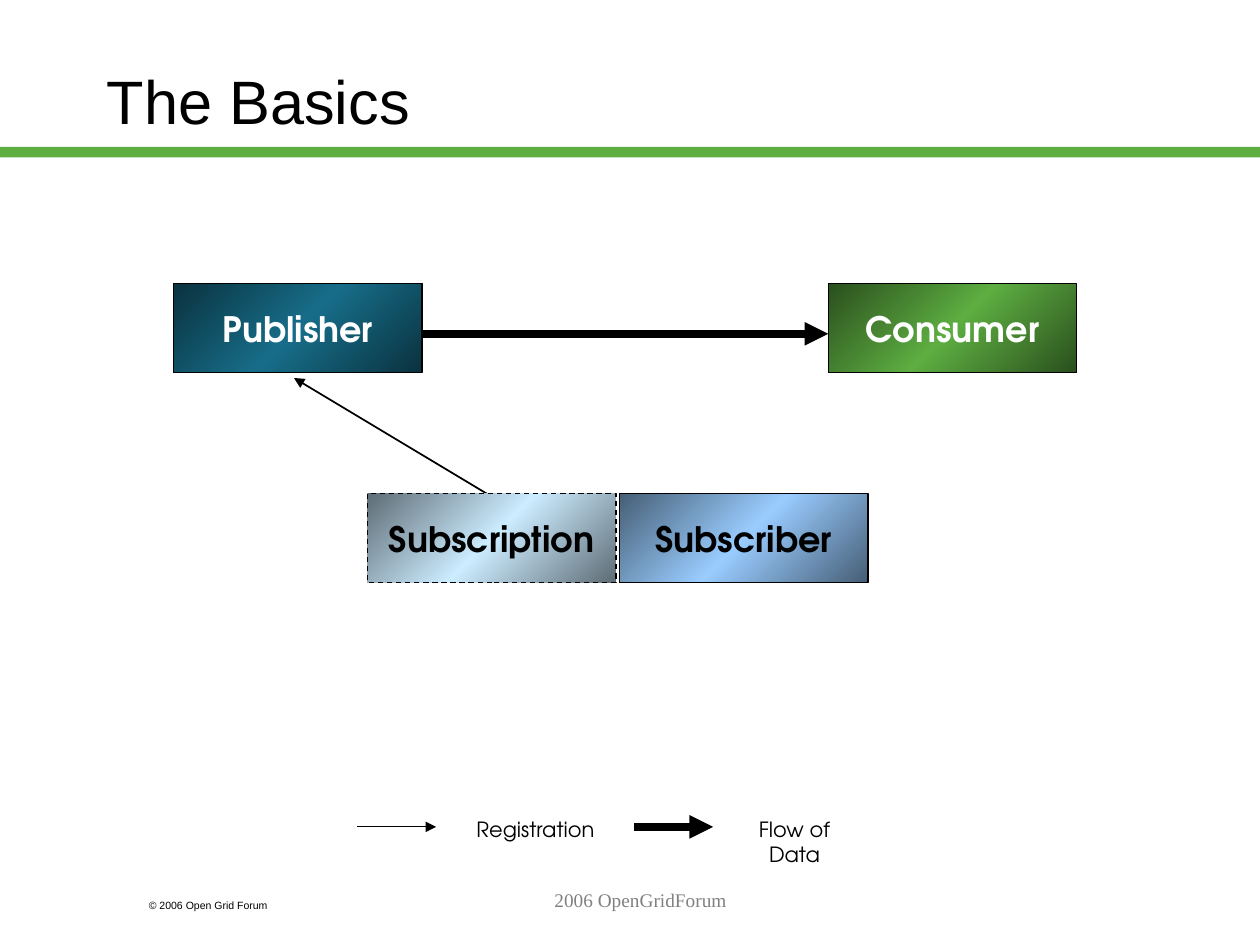
from copy import deepcopy
from dataclasses import dataclass
from typing import NamedTuple

from pptx import Presentation
from pptx.dml.color import RGBColor
from pptx.enum.dml import MSO_LINE
from pptx.enum.shapes import MSO_CONNECTOR, MSO_SHAPE
from pptx.enum.text import MSO_ANCHOR, PP_ALIGN
from pptx.oxml.ns import qn
from pptx.oxml.xmlchemy import OxmlElement
from pptx.util import Pt

RECT, LINE = MSO_SHAPE.RECTANGLE, MSO_CONNECTOR.STRAIGHT
DASH = MSO_LINE.DASH
TOP, MIDDLE = MSO_ANCHOR.TOP, MSO_ANCHOR.MIDDLE
LEFT, CENTER = PP_ALIGN.LEFT, PP_ALIGN.CENTER


@dataclass(frozen=True)
class Theme:
    sans: str = "Arial"
    serif: str = "Times New Roman"
    round: str = "TeX Gyre Adventor"
    black: str = "000000"
    white: str = "FFFFFF"
    gray: str = "808080"
    green: str = "5DAD41"
    moss: str = "2A4F1D"
    teal: str = "176D89"
    deep: str = "0A323F"
    blue: str = "99CCFF"
    slate: str = "465E75"
    ice: str = "CCECFF"
    ash: str = "5E6C75"
    title: float = 35
    node: float = 20
    key: float = 12
    foot: float = 11
    small: float = 6
    thin: float = 0.75
    link: float = 1
    thick: float = 4.5


THEME = Theme()
NODE_W, NODE_H = 142, 51


class Node(NamedTuple):
    text: str
    x: float
    y: float
    edge: str
    core: str
    ink: str
    dash: bool = False


class Arrow(NamedTuple):
    start: tuple[float, float]
    end: tuple[float, float]
    width: float


class Label(NamedTuple):
    text: str
    area: tuple[float, float, float, float]
    font: str
    size: float
    ink: str = THEME.black
    align: PP_ALIGN = CENTER
    anchor: MSO_ANCHOR = TOP


NODES = [
    Node("Publisher", 99.25, 162, THEME.deep, THEME.teal, THEME.white),
    Node("Consumer", 473.25, 162, THEME.moss, THEME.green, THEME.white),
    Node("Subscriber", 354, 282, THEME.slate, THEME.blue, THEME.black),
    Node("Subscription", 210, 282, THEME.ash, THEME.ice, THEME.black, True),
]

ARROWS = [
    Arrow((241, 190.75), (473.25, 190.75), THEME.thick),
    Arrow((288, 288), (168, 216), THEME.link),
    Arrow((204, 472.5), (249.25, 472.5), THEME.thin),
    Arrow((362.25, 472.5), (407.5, 472.5), THEME.thick),
]

LABELS = [
    Label("The Basics", (54, 12, 612, 90), THEME.sans, THEME.title,
          align=LEFT, anchor=MIDDLE),
    Label("Registration", (264, 463, 84, 21.5), THEME.round, THEME.key),
    Label("Flow of Data", (412, 463, 84, 21.5), THEME.round, THEME.key),
    Label("© 2006 Open Grid Forum", (78, 510, 108, 14), THEME.sans,
          THEME.small, align=LEFT),
    Label("2006 OpenGridForum", (156, 504, 420, 36), THEME.serif,
          THEME.foot, THEME.gray),
]


def rgb(code: str) -> RGBColor:
    return RGBColor.from_string(code)


def apply(target, values: dict) -> None:
    for name, value in values.items():
        setattr(target, name, value)


def write(shape, text: str, frame: dict, align: PP_ALIGN, font: dict,
          ink: str) -> None:
    apply(shape.text_frame, frame)
    para = shape.text_frame.paragraphs[0]
    para.alignment = align
    run = para.add_run()
    run.text = text
    apply(run.font, font)
    run.font.color.rgb = rgb(ink)


def add_bar(slide) -> None:
    bar = slide.shapes.add_shape(RECT, 0, Pt(84), Pt(720), Pt(6))
    bar.shadow.inherit = False
    bar.fill.solid()
    bar.fill.fore_color.rgb = rgb(THEME.green)
    bar.line.fill.background()


def add_node(slide, node: Node) -> None:
    box = slide.shapes.add_shape(RECT, Pt(node.x), Pt(node.y),
                                 Pt(NODE_W), Pt(NODE_H))
    box.shadow.inherit = False
    # Dark corners with a bright band between them
    box.fill.gradient()
    box.fill.gradient_angle = 135
    stops = box.element.spPr.find(".//" + qn("a:gsLst"))
    stops.append(deepcopy(stops[0]))
    shades = [(0, node.edge), (0.5, node.core), (1, node.edge)]
    for stop, (place, shade) in zip(box.fill.gradient_stops, shades):
        stop.position = place
        stop.color.rgb = rgb(shade)
    box.line.color.rgb = rgb(THEME.black)
    box.line.width = Pt(THEME.thin)
    if node.dash:
        box.line.dash_style = DASH
    write(box, node.text, {"word_wrap": False, "vertical_anchor": MIDDLE},
          CENTER, {"name": THEME.round, "size": Pt(THEME.node), "bold": True},
          node.ink)


def add_arrow(slide, arrow: Arrow) -> None:
    ends = [Pt(v) for v in (*arrow.start, *arrow.end)]
    line = slide.shapes.add_connector(LINE, *ends)
    line.line.color.rgb = rgb(THEME.black)
    line.line.width = Pt(arrow.width)
    tip = OxmlElement("a:tailEnd")
    tip.set("type", "triangle")
    line.line.fill  # the line element now exists
    props = line.element.spPr
    props.find(qn("a:ln")).append(tip)
    props.append(OxmlElement("a:effectLst"))


def add_label(slide, label: Label) -> None:
    box = slide.shapes.add_textbox(*[Pt(v) for v in label.area])
    write(box, label.text,
          {"word_wrap": True, "vertical_anchor": label.anchor}, label.align,
          {"name": label.font, "size": Pt(label.size)}, label.ink)


def main() -> None:
    deck = Presentation()
    apply(deck, {"slide_width": Pt(720), "slide_height": Pt(540)})
    slide = deck.slides.add_slide(deck.slide_layouts[6])

    add_bar(slide)
    # Arrows lie behind the nodes
    for arrow in ARROWS:
        add_arrow(slide, arrow)
    for node in NODES:
        add_node(slide, node)
    # Title, key and footers
    for label in LABELS:
        add_label(slide, label)

    deck.save("out.pptx")


if __name__ == "__main__":
    main()
